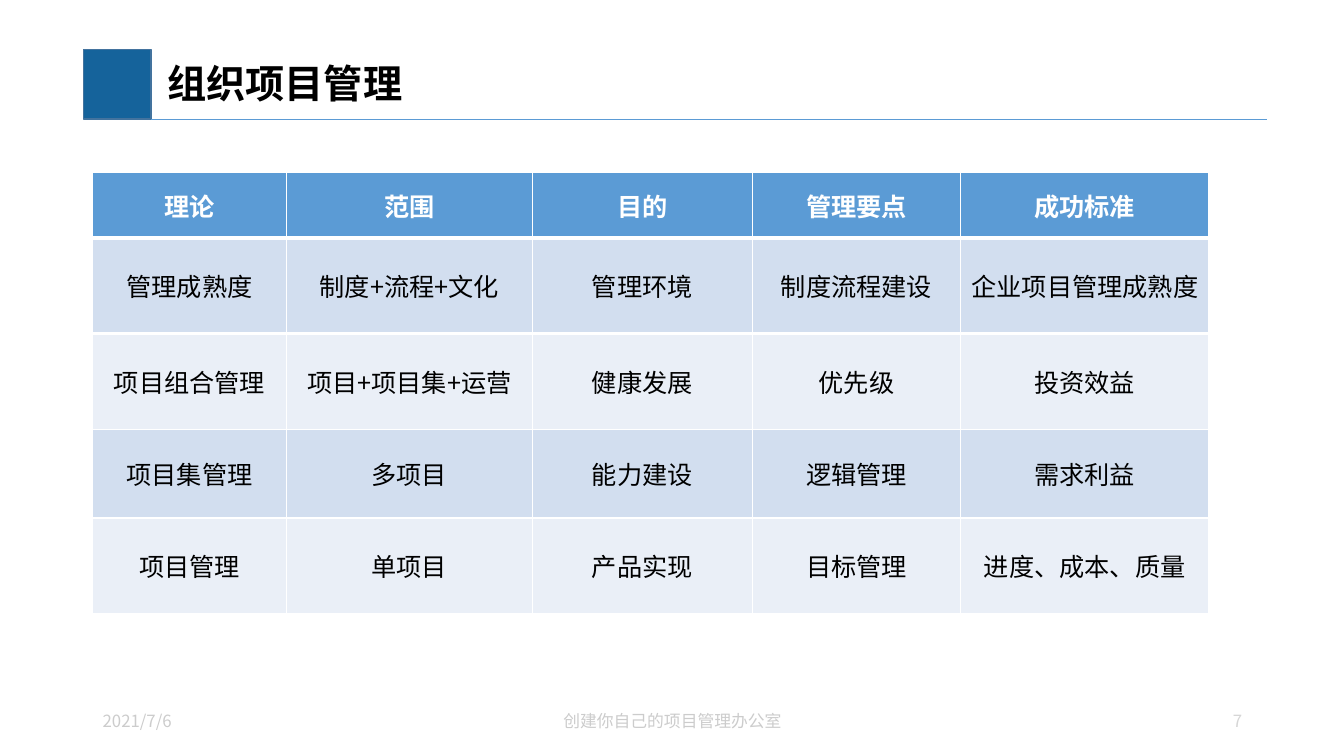
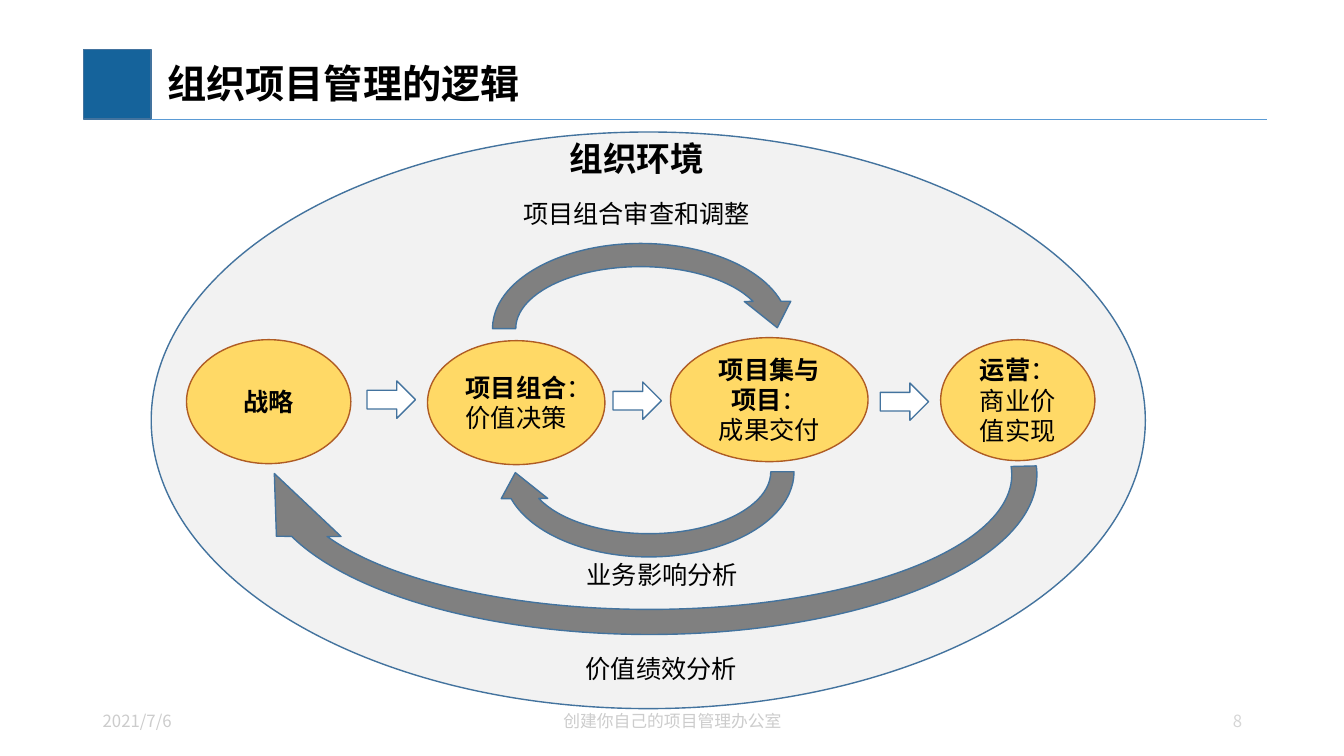
from lxml import etree
from pptx import Presentation
from pptx.dml.color import RGBColor
from pptx.enum import shapes, text
from pptx.oxml import ns
from pptx.util import Inches, Pt

FONT = "Noto Sans CJK SC"
BLACK = RGBColor(0x00, 0x00, 0x00)
WHITE = RGBColor(0xFF, 0xFF, 0xFF)
NAVY = RGBColor(0x15, 0x63, 0x9B)
OUTLINE = RGBColor(0x43, 0x73, 0x9E)
BLUE = RGBColor(0x5B, 0x9B, 0xD5)
BAND_DARK = RGBColor(0xD2, 0xDE, 0xEF)
BAND_LIGHT = RGBColor(0xEA, 0xEF, 0xF7)
PALE = RGBColor(0xF2, 0xF2, 0xF2)
GREY = RGBColor(0x80, 0x80, 0x80)
GOLD = RGBColor(0xFF, 0xD9, 0x66)
BROWN = RGBColor(0xAF, 0x5C, 0x24)
FOOTER_GREY = RGBColor(0xCC, 0xCC, 0xCC)
NUMBER_GREY = RGBColor(0xD6, 0xD6, 0xD6)

LEFT, CENTER, RIGHT = text.PP_ALIGN.LEFT, text.PP_ALIGN.CENTER, text.PP_ALIGN.RIGHT
TOP, MIDDLE = text.MSO_ANCHOR.TOP, text.MSO_ANCHOR.MIDDLE
SHAPE = shapes.MSO_SHAPE

DATE = "2021/7/6"
FOOTER = "创建你自己的项目管理办公室"

THEORY_ROWS = [
    ("理论", "范围", "目的", "管理要点", "成功标准"),
    ("管理成熟度", "制度+流程+文化", "管理环境", "制度流程建设", "企业项目管理成熟度"),
    ("项目组合管理", "项目+项目集+运营", "健康发展", "优先级", "投资效益"),
    ("项目集管理", "多项目", "能力建设", "逻辑管理", "需求利益"),
    ("项目管理", "单项目", "产品实现", "目标管理", "进度、成本、质量"),
]
COLUMN_WIDTHS = (1.92, 2.44, 2.18, 2.07, 2.46)
ROW_HEIGHTS = (0.65, 0.95, 0.95, 0.88, 0.95)

ENVIRONMENT = (1.5, 1.31, 9.86, 5.72)
STAGES = [
    ("战略", "", (1.85, 3.37, 1.63, 1.23)),
    ("项目组合", "价值决策", (4.24, 3.38, 1.76, 1.23)),
    ("项目集与项目", "成果交付", (6.65, 3.35, 1.96, 1.23)),
    ("运营", "商业价值实现", (9.33, 3.37, 1.53, 1.2)),
]
INNER_BEND = {"thickness": 0.12, "angles": (11.78, 347.87, 180), "head": 0.12}
OUTER_BEND = {"thickness": 0.07, "angles": (10.45, 349.75, 178.68), "head": 0.09}
LOOPS = [
    ((4.77, 2.3, 3.17, 1.92), 0, INNER_BEND),
    ((4.88, 3.72, 3.11, 1.92), 180, INNER_BEND),
    ((2.4, 2.93, 8.08, 3.56), 180, OUTER_BEND),
]
ANGLE_UNITS = 60000 / 100000
STEPS = [(3.64, 3.78), (6.08, 3.79), (8.73, 3.8)]
STEP_SIZE = (0.48, 0.37)
LABELS = [
    ("组织环境", (5.55, 1.32, 1.55, 0.5), 24, True),
    ("项目组合审查和调整", (5.09, 1.92, 2.47, 0.4), 18, False),
    ("业务影响分析", (5.72, 5.5, 1.72, 0.4), 18, False),
    ("价值绩效分析", (5.71, 6.43, 1.72, 0.4), 18, False),
]


def write(frame, content, size=18, color=BLACK, bold=False, align=LEFT,
          anchor=MIDDLE, wrap=True, spacing=None):
    """Content is a string, or paragraphs made of (words, bold) runs."""
    paragraphs = [[(content, bold)]] if isinstance(content, str) else content
    frame.word_wrap = wrap
    frame.vertical_anchor = anchor
    for index, runs in enumerate(paragraphs):
        paragraph = frame.add_paragraph() if index else frame.paragraphs[0]
        paragraph.alignment = align
        paragraph.line_spacing = spacing
        for words, strong in runs:
            run = paragraph.add_run()
            run.text = words
            run.font.name = FONT
            run.font.size = Pt(size)
            run.font.bold = strong
            run.font.color.rgb = color
            east_asian = etree.SubElement(run.font._element, ns.qn("a:ea"))
            east_asian.set("typeface", FONT)


def add_label(slide, content, box, **style):
    frame = slide.shapes.add_textbox(*map(Inches, box)).text_frame
    write(frame, content, **style)
    return frame


def add_figure(slide, kind, box, fill, line=OUTLINE):
    figure = slide.shapes.add_shape(kind, *map(Inches, box))
    figure.shadow.inherit = False
    figure.fill.solid()
    figure.fill.fore_color.rgb = fill
    figure.line.color.rgb = line
    figure.line.width = Pt(1)
    return figure


def add_border(cell, side, width):
    properties = cell._tc.get_or_add_tcPr()
    border = etree.Element(ns.qn(f"a:{side}"), w=str(Pt(width)))
    fill = etree.SubElement(border, ns.qn("a:solidFill"))
    etree.SubElement(fill, ns.qn("a:srgbClr"), val=str(WHITE))
    properties.insert(0, border)


def add_base(deck, title):
    slide = deck.slides.add_slide(deck.slide_layouts[6])
    add_figure(slide, SHAPE.RECTANGLE, (0.83, 0.49, 0.67, 0.69), NAVY)
    rule = slide.shapes.add_connector(
        shapes.MSO_CONNECTOR.STRAIGHT, *map(Inches, (1.5, 1.18, 12.57, 1.18)))
    rule.line.color.rgb = BLUE
    rule.line.width = Pt(0.5)
    etree.SubElement(rule._element.spPr, ns.qn("a:effectLst"))
    heading = add_label(slide, title, (1.5, 0.5, 11.07, 0.7),
                        size=28, bold=True, spacing=0.9)
    heading.margin_left = Inches(0.16)
    return slide


def add_footer(slide, number):
    add_label(slide, DATE, (0.92, 6.95, 3, 0.4), size=12, color=FOOTER_GREY)
    add_label(slide, FOOTER, (4.42, 6.95, 4.5, 0.4), size=12,
              color=FOOTER_GREY, align=CENTER)
    add_label(slide, str(number), (9.66, 6.94, 2.76, 0.42), size=12,
              color=NUMBER_GREY, align=RIGHT)


def build_theories(deck):
    slide = add_base(deck, "组织项目管理")
    box = (0.92, 1.71, sum(COLUMN_WIDTHS), sum(ROW_HEIGHTS))
    theories = slide.shapes.add_table(
        len(ROW_HEIGHTS), len(COLUMN_WIDTHS), *map(Inches, box)).table
    for column, width in zip(theories.columns, COLUMN_WIDTHS):
        column.width = Inches(width)
    for index, (height, words) in enumerate(zip(ROW_HEIGHTS, THEORY_ROWS)):
        theories.rows[index].height = Inches(height)
        header = index == 0
        band = BLUE if header else BAND_DARK if index % 2 else BAND_LIGHT
        for cell, word in zip(theories.rows[index].cells, words):
            cell.fill.solid()
            cell.fill.fore_color.rgb = band
            cell.vertical_anchor = MIDDLE
            write(cell.text_frame, word, color=WHITE if header else BLACK,
                  bold=header, align=CENTER)
            if index < 2:
                add_border(cell, "lnB" if header else "lnT", 3)
    add_footer(slide, 7)


def build_logic(deck):
    slide = add_base(deck, "组织项目管理的逻辑")
    add_figure(slide, SHAPE.OVAL, ENVIRONMENT, PALE)
    for name, outcome, box in STAGES:
        stage = add_figure(slide, SHAPE.OVAL, box, GOLD, BROWN)
        content = [[(name, True)]]
        if outcome:
            content = [[(name, True), ("：", False)], [(outcome, False)]]
        write(stage.text_frame, content, align=CENTER)
    for box, rotation, bend in LOOPS:
        loop = add_figure(slide, SHAPE.CIRCULAR_ARROW, box, GREY)
        loop.rotation = rotation
        angles = [angle * ANGLE_UNITS for angle in bend["angles"]]
        for index, value in enumerate([bend["thickness"], *angles, bend["head"]]):
            loop.adjustments[index] = value
    for corner in STEPS:
        add_figure(slide, SHAPE.RIGHT_ARROW, corner + STEP_SIZE, WHITE)
    for words, box, size, bold in LABELS:
        label = add_label(slide, words, box, size=size, bold=bold, anchor=TOP, wrap=False)
        label.auto_size = text.MSO_AUTO_SIZE.SHAPE_TO_FIT_TEXT
    add_footer(slide, 8)


def main():
    deck = Presentation()
    deck.slide_width, deck.slide_height = Inches(13.33), Inches(7.5)
    build_theories(deck)
    build_logic(deck)
    deck.save("out.pptx")


if __name__ == "__main__":
    main()
